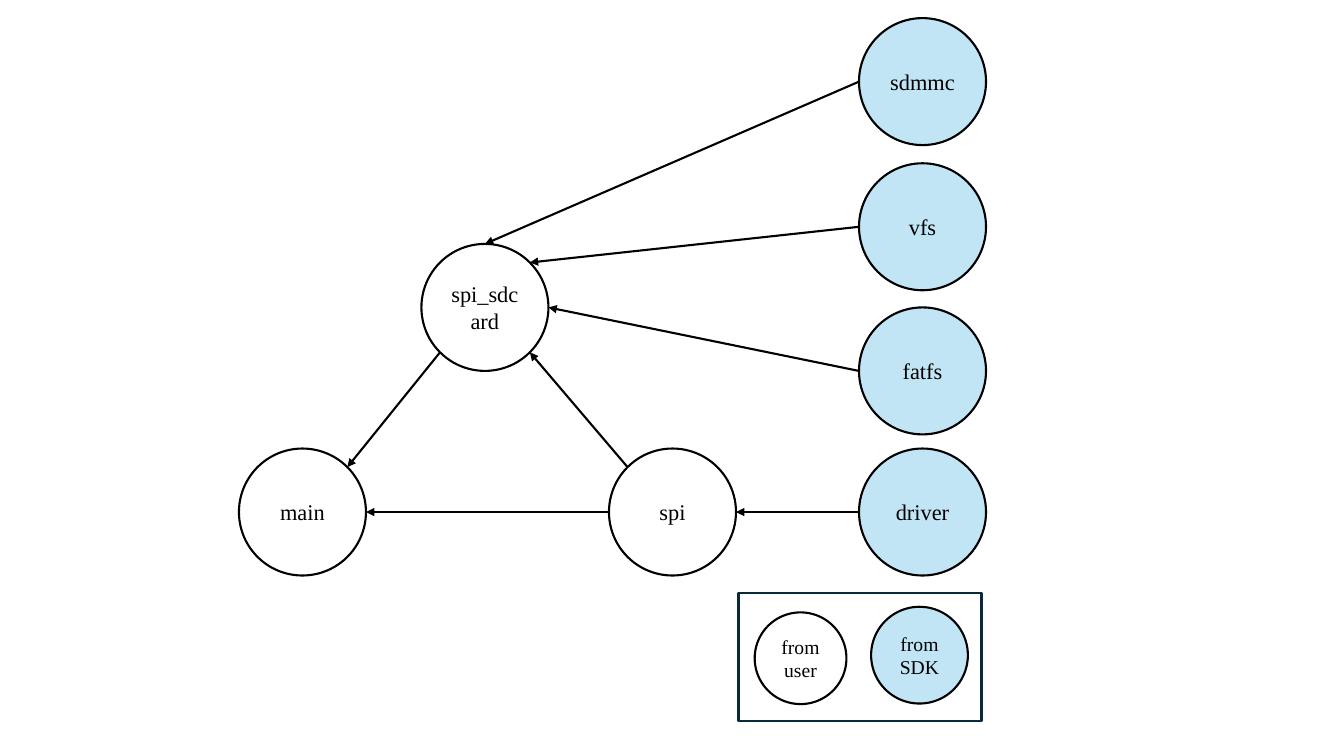
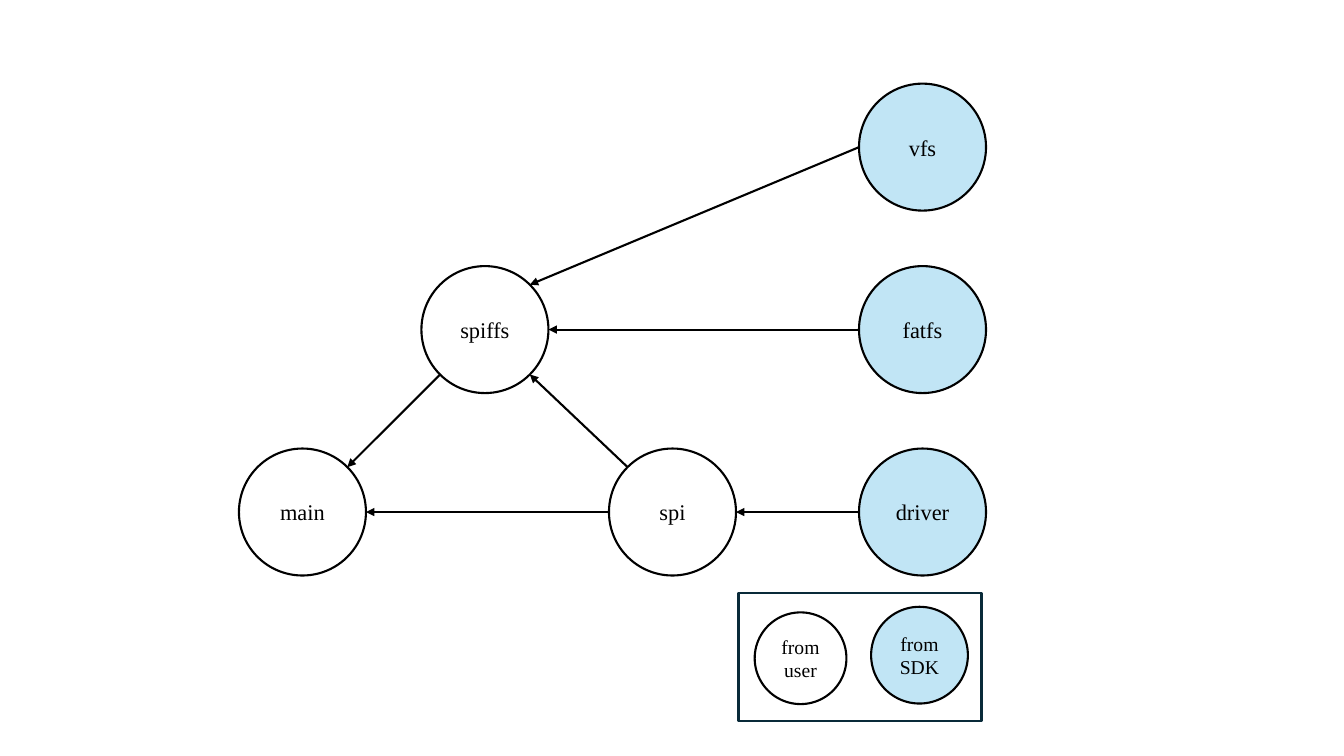
"""Build two component dependency diagrams that share a base row and a legend."""
import math

from lxml import etree
from pptx import Presentation
from pptx import util as u
from pptx.dml.color import RGBColor
from pptx.enum import shapes, text
from pptx.oxml.ns import qn

BLACK = RGBColor(0x00, 0x00, 0x00)
SKY = RGBColor(0xC1, 0xE5, 0xF5)
NAVY = RGBColor(0x09, 0x2A, 0x39)
FONT = "Times New Roman"
LINE = u.Pt(1.5)

WIDTH, HEIGHT = 13.33, 7.5
NODE = 1.26
COL_MAIN, COL_HUB, COL_SPI, COL_LIB = 3.0, 4.81, 6.67, 9.15
ROW_BASE, ROW_STEP = 5.08, 1.81
TOP, TOP_LEFT, LEFT, BOTTOM_LEFT, BOTTOM, BOTTOM_RIGHT, RIGHT, TOP_RIGHT = range(8)

DIAGRAMS = [
    {"hub": "spi_sdcard", "hub_row": 3.05,
     "libs": [("fatfs", 3.68, RIGHT), ("vfs", 2.25, TOP_RIGHT), ("sdmmc", 0.81, TOP)]},
    {"hub": "spiffs", "hub_row": ROW_BASE - ROW_STEP,
     "libs": [("fatfs", ROW_BASE - ROW_STEP, RIGHT),
              ("vfs", ROW_BASE - 2 * ROW_STEP, TOP_RIGHT)]},
]


def write(sp, label, size=16, color=BLACK, font=FONT):
    """Put centred text in a shape."""
    tf = sp.text_frame
    tf.word_wrap = True
    tf.vertical_anchor = text.MSO_ANCHOR.MIDDLE
    p = tf.paragraphs[0]
    p.alignment = text.PP_ALIGN.CENTER
    r = p.add_run()
    r.text = label
    r.font.name, r.font.size, r.font.color.rgb = font, u.Pt(size), color


def outline(parent, kind, x, y, w, h, fill=None, line=BLACK):
    """Add an outlined shape centred on x, y."""
    sp = parent.add_shape(kind, u.Inches(x - w / 2), u.Inches(y - h / 2),
                          u.Inches(w), u.Inches(h))
    sp.shadow.inherit = False
    if fill is None:
        sp.fill.background()
    else:
        sp.fill.solid()
        sp.fill.fore_color.rgb = fill
    sp.line.color.rgb, sp.line.width = line, LINE
    return sp


def circle(parent, label, x, y, d=NODE, fill=None, size=16):
    """Add a labelled circle centred on x, y."""
    sp = outline(parent, shapes.MSO_SHAPE.OVAL, x, y, d, d, fill)
    write(sp, label, size=size)
    return sp


def site_point(sp, site):
    """Return the position of a circle's connection site, counted from the top leftwards."""
    angle = math.radians(90 + 45 * site)
    radius = sp.width / 2
    return (u.Emu(round(sp.left + radius * (1 + math.cos(angle)))),
            u.Emu(round(sp.top + radius * (1 - math.sin(angle)))))


def arrow(s, start, start_site, end, end_site):
    """Join two circles with a glued arrow."""
    c = s.shapes.add_connector(shapes.MSO_CONNECTOR.STRAIGHT,
                               *site_point(start, start_site), *site_point(end, end_site))
    c.line.color.rgb, c.line.width = BLACK, LINE
    etree.SubElement(c.line._get_or_add_ln(), qn("a:tailEnd"), type="triangle")
    etree.SubElement(c._element.spPr, qn("a:effectLst"))
    glue = c._element.nvCxnSpPr.cNvCxnSpPr
    for tag, sp, site in (("a:stCxn", start, start_site), ("a:endCxn", end, end_site)):
        etree.SubElement(glue, qn(tag), id=str(sp.shape_id), idx=str(site))


def legend(s):
    """Add the grouped colour key."""
    group = s.shapes.add_group_shape().shapes
    circle(group, "from user", 7.94, 6.53, d=0.91, size=14)
    circle(group, "from SDK", 9.12, 6.5, d=0.96, fill=SKY, size=14)
    outline(group, shapes.MSO_SHAPE.RECTANGLE, 8.53, 6.52, 2.41, 1.27, line=NAVY)


def diagram(s, hub, hub_row, libs):
    """Draw the base row, the hub and the libraries that feed it."""
    main_node = circle(s.shapes, "main", COL_MAIN, ROW_BASE)
    spi = circle(s.shapes, "spi", COL_SPI, ROW_BASE)
    driver = circle(s.shapes, "driver", COL_LIB, ROW_BASE, fill=SKY)
    hub_node = circle(s.shapes, hub, COL_HUB, hub_row)
    legend(s)
    arrow(s, spi, LEFT, main_node, RIGHT)
    arrow(s, spi, TOP_LEFT, hub_node, BOTTOM_RIGHT)
    arrow(s, hub_node, BOTTOM_LEFT, main_node, TOP_RIGHT)
    arrow(s, driver, LEFT, spi, RIGHT)
    for name, row, site in libs:
        lib = circle(s.shapes, name, COL_LIB, row, fill=SKY)
        arrow(s, lib, LEFT, hub_node, site)


def main():
    """Build and save the presentation."""
    prs = Presentation()
    prs.slide_width, prs.slide_height = u.Inches(WIDTH), u.Inches(HEIGHT)
    for content in DIAGRAMS:
        diagram(prs.slides.add_slide(prs.slide_layouts[6]), **content)
    prs.save("out.pptx")


if __name__ == "__main__":
    main()
